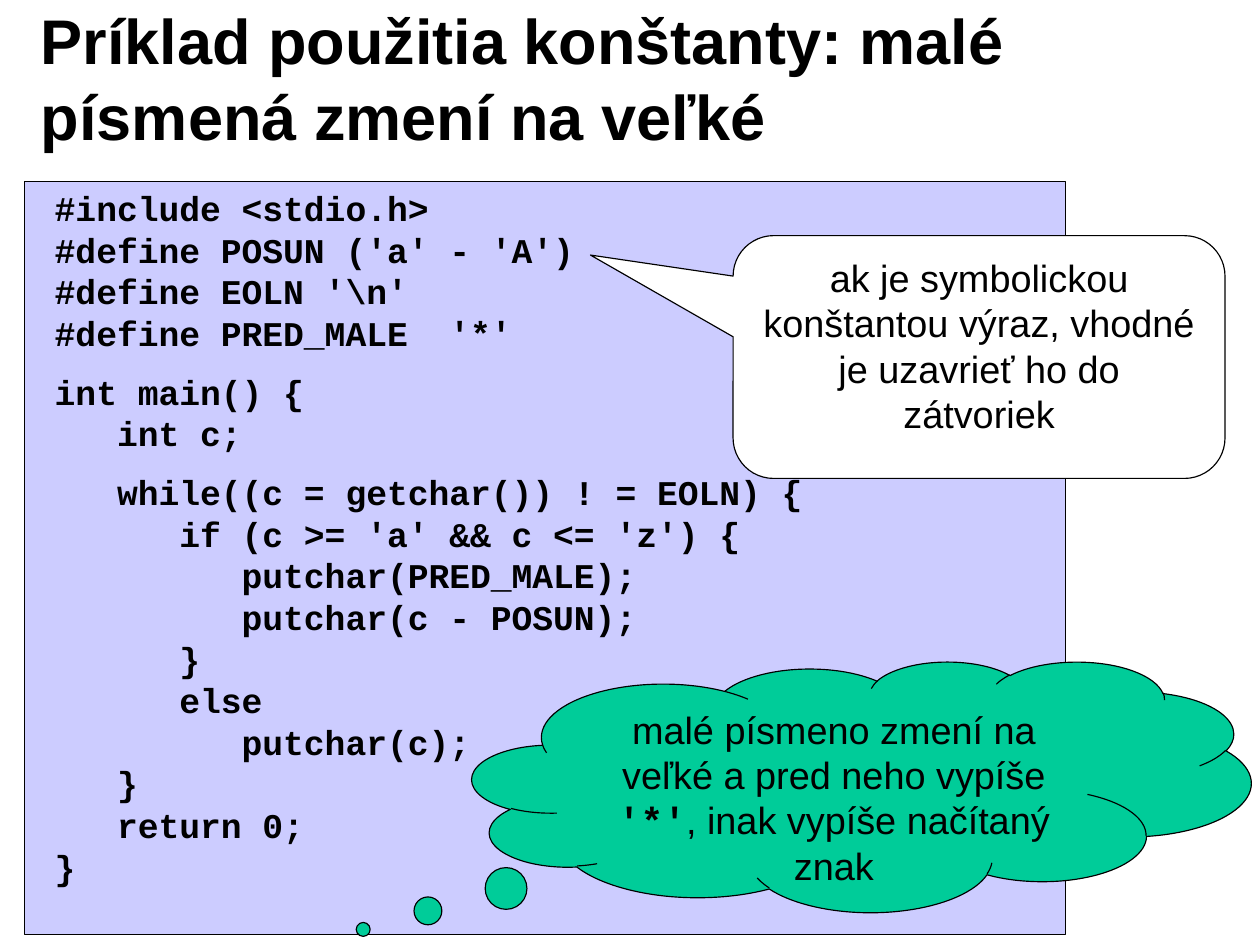
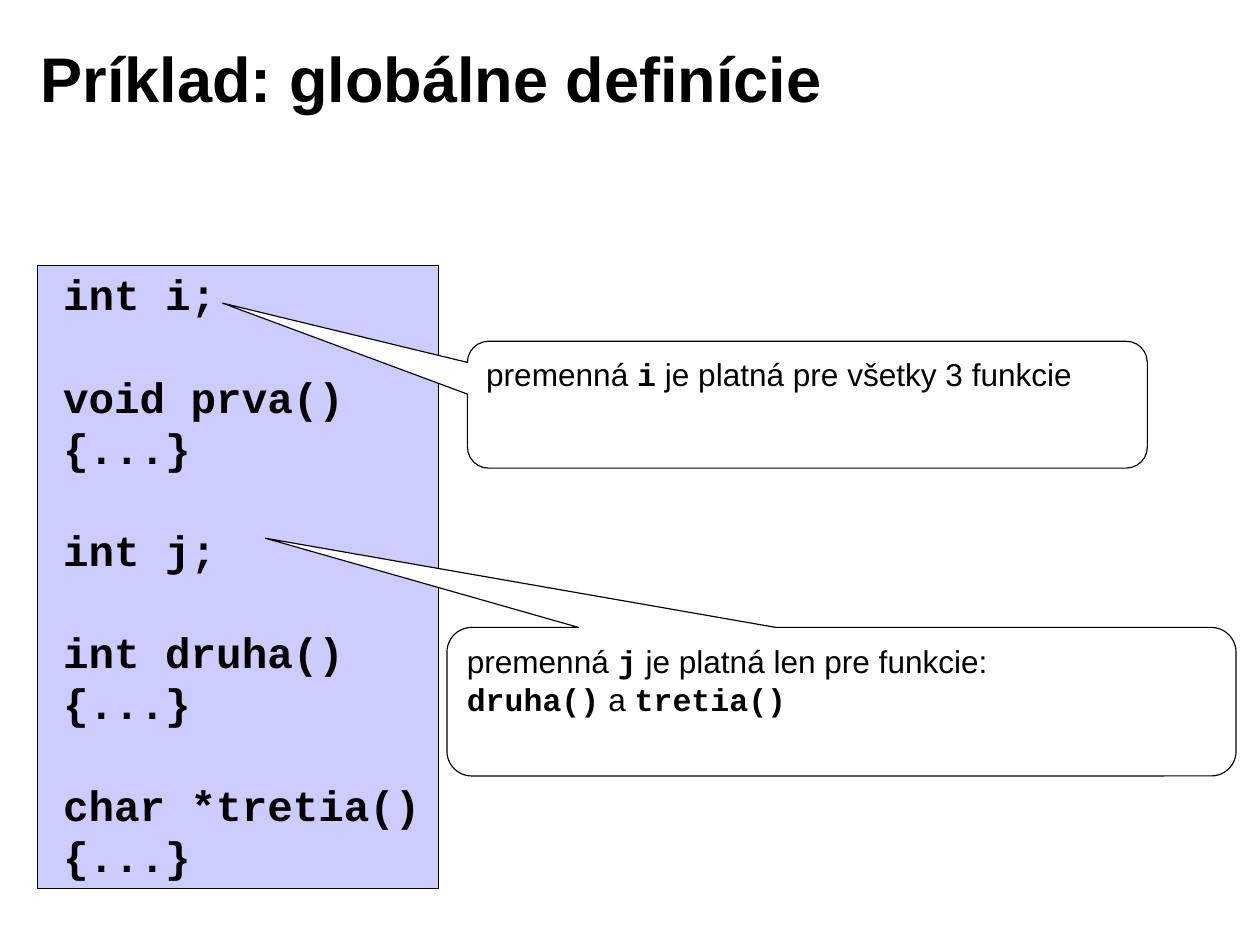
from pptx import Presentation
from pptx.dml.color import RGBColor
from pptx.enum.shapes import MSO_SHAPE as Preset
from pptx.enum.text import MSO_ANCHOR as Anchor, MSO_AUTO_SIZE as AutoSize, PP_ALIGN as Align
from pptx.util import Pt

COLORS = {"text": "000000", "line": "000000", "code": "CCCCFF", "note": "FFFFFF", "cloud": "00CC99"}
BODY_FONT = "Arial"
CODE_FONT = "Courier New"
LINE_FACTOR = 1.2

CONSTANT_CODE = r"""#include <stdio.h>
#define POSUN ('a' - 'A')
#define EOLN '\n'
#define PRED_MALE  '*'

int main() {
   int c;

   while((c = getchar()) ! = EOLN) {
      if (c >= 'a' && c <= 'z') {
         putchar(PRED_MALE);
         putchar(c - POSUN);
      }
      else
         putchar(c);
   }
   return 0;
}"""

GLOBAL_CODE = """int i;

void prva()
{...}

int j;

int druha()
{...}

char *tretia()
{...}"""


def color(name):
    return RGBColor.from_string(COLORS[name])


def add_run(paragraph, text, *, size, font=BODY_FONT, bold=False):
    run = paragraph.add_run()
    run.text = text
    run.font.size = Pt(size)
    run.font.name = font
    run.font.bold = bold
    run.font.color.rgb = color("text")


def format_paragraph(paragraph, size, align=Align.LEFT, before=0):
    paragraph.alignment = align
    paragraph.line_spacing = Pt(size * LINE_FACTOR)
    paragraph.space_before = Pt(before)


def prepare_frame(shape, anchor=Anchor.TOP, wrap=True, auto_size=AutoSize.NONE):
    frame = shape.text_frame
    frame.margin_left = frame.margin_right = Pt(8)
    frame.margin_top = frame.margin_bottom = Pt(4.5)
    frame.vertical_anchor = anchor
    frame.word_wrap = wrap
    frame.auto_size = auto_size
    return frame


def next_paragraph(frame, index):
    return frame.add_paragraph() if index else frame.paragraphs[0]


class Deck:
    def __init__(self, width, height):
        self.presentation = Presentation()
        self.presentation.slide_width = Pt(width)
        self.presentation.slide_height = Pt(height)
        self.slide = None

    def add_slide(self, title):
        layout = self.presentation.slide_layouts[5]
        self.slide = self.presentation.slides.add_slide(layout)
        shape = self.slide.shapes.title
        shape.left, shape.top, shape.width, shape.height = map(Pt, (18, 12.25, 642, 73.5))
        paragraph = prepare_frame(shape, Anchor.MIDDLE).paragraphs[0]
        format_paragraph(paragraph, 40)
        add_run(paragraph, title, size=40, bold=True)

    def add_shape(self, preset, box, fill):
        shape = self.slide.shapes.add_shape(preset, *map(Pt, box))
        shape.shadow.inherit = False
        shape.fill.solid()
        shape.fill.fore_color.rgb = color(fill)
        shape.line.color.rgb = color("line")
        shape.line.width = Pt(0.75)
        return shape

    def add_code(self, code, box, *, size, gap, wrap=True):
        shape = self.slide.shapes.add_textbox(*map(Pt, box))
        frame = prepare_frame(shape, wrap=wrap, auto_size=AutoSize.SHAPE_TO_FIT_TEXT)
        before = 0
        index = 0
        for line in code.split("\n"):
            if not line:
                before = gap
                continue
            paragraph = next_paragraph(frame, index)
            format_paragraph(paragraph, size, before=before)
            add_run(paragraph, line, size=size, font=CODE_FONT, bold=True)
            before = 0
            index += 1

    def add_callout(self, lines, box, pointer, *, size, align=Align.LEFT,
                    preset=Preset.ROUNDED_RECTANGULAR_CALLOUT, fill="note"):
        shape = self.add_shape(preset, box, fill)
        shape.adjustments[0], shape.adjustments[1] = pointer
        frame = prepare_frame(shape)
        for index, line in enumerate(lines):
            paragraph = next_paragraph(frame, index)
            format_paragraph(paragraph, size, align)
            for part, text in enumerate(line.split("`")):
                is_code = part % 2 == 1
                if text:
                    add_run(paragraph, text, size=size, bold=is_code,
                            font=CODE_FONT if is_code else BODY_FONT)


def add_constant_slide(deck):
    deck.add_slide("Príklad použitia konštanty: malé písmená zmení na veľké")
    deck.add_shape(Preset.RECTANGLE, (15.75, 115.25, 660, 477.5), "code")
    deck.add_code(CONSTANT_CODE, (26.75, 114, 509, 452), size=22, gap=11)
    deck.add_callout(
        ["ak je symbolickou konštantou výraz, vhodné je uzavrieť ho do zátvoriek"],
        (465, 149.5, 312, 154), (-0.79, -0.42), size=24, align=Align.CENTER)
    deck.add_callout(
        ["malé písmeno zmení na veľké a pred neho vypíše `'*'`, inak vypíše načítaný znak"],
        (299.5, 419.5, 494, 159), (-0.64, 0.57), size=24, align=Align.CENTER,
        preset=Preset.CLOUD_CALLOUT, fill="cloud")


def add_global_slide(deck):
    deck.add_slide("Príklad: globálne definície")
    deck.add_shape(Preset.RECTANGLE, (23.75, 168.5, 254.25, 395.25), "code")
    deck.add_code(GLOBAL_CODE, (32, 165.75, 246, 397.5), size=27,
                  gap=27 * LINE_FACTOR, wrap=False)
    deck.add_callout(["premenná `i` je platná pre všetky 3 funkcie"],
                     (296.5, 216.5, 431.25, 80.5), (-0.86, -0.8), size=20)
    deck.add_callout(["premenná `j` je platná len pre funkcie:", "`druha()` a `tretia()`"],
                     (283.5, 398, 500.5, 94.25), (-0.73, -1.1), size=20)


def main():
    deck = Deck(799.2, 597.6)
    add_constant_slide(deck)
    add_global_slide(deck)
    deck.presentation.save("out.pptx")


if __name__ == "__main__":
    main()
